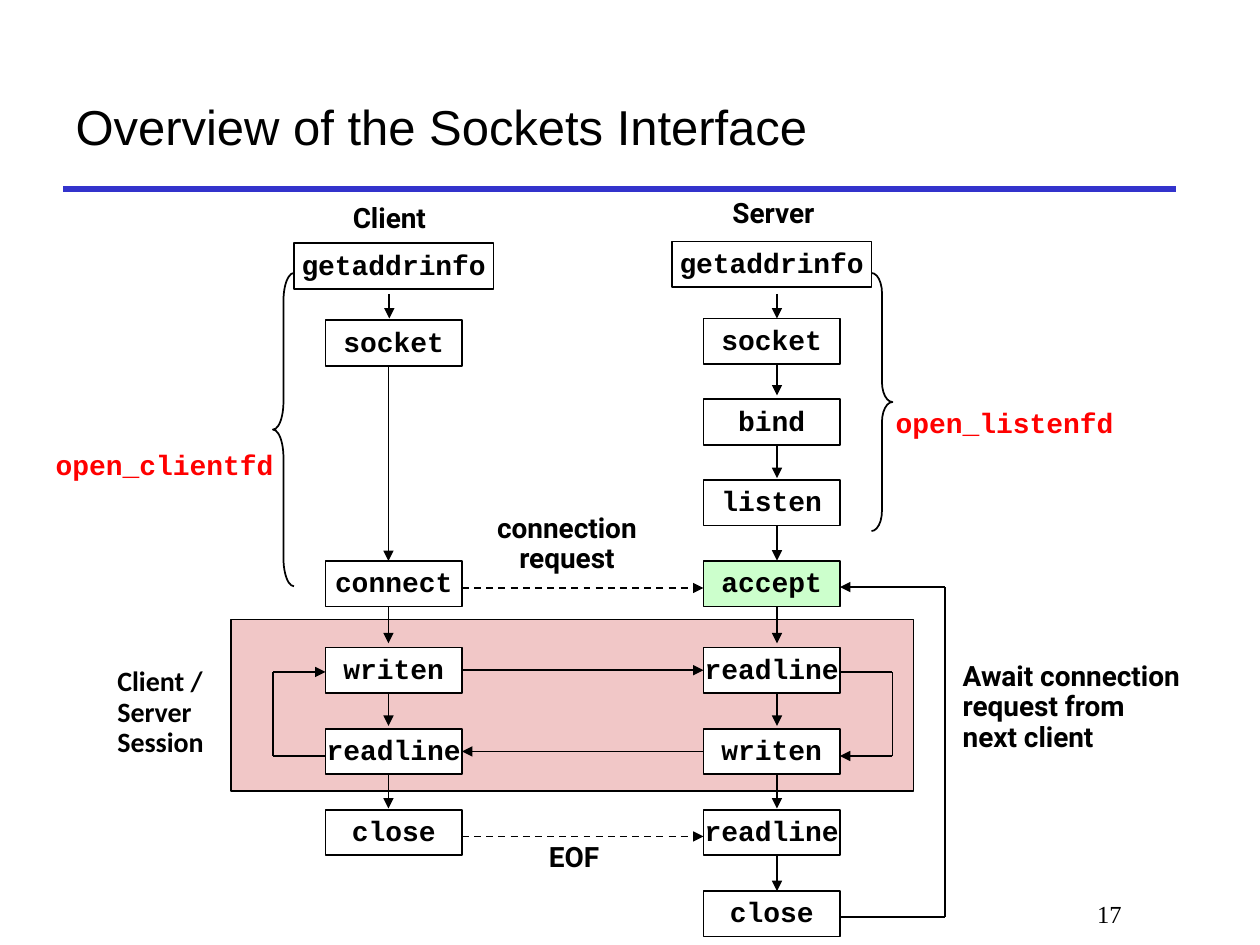
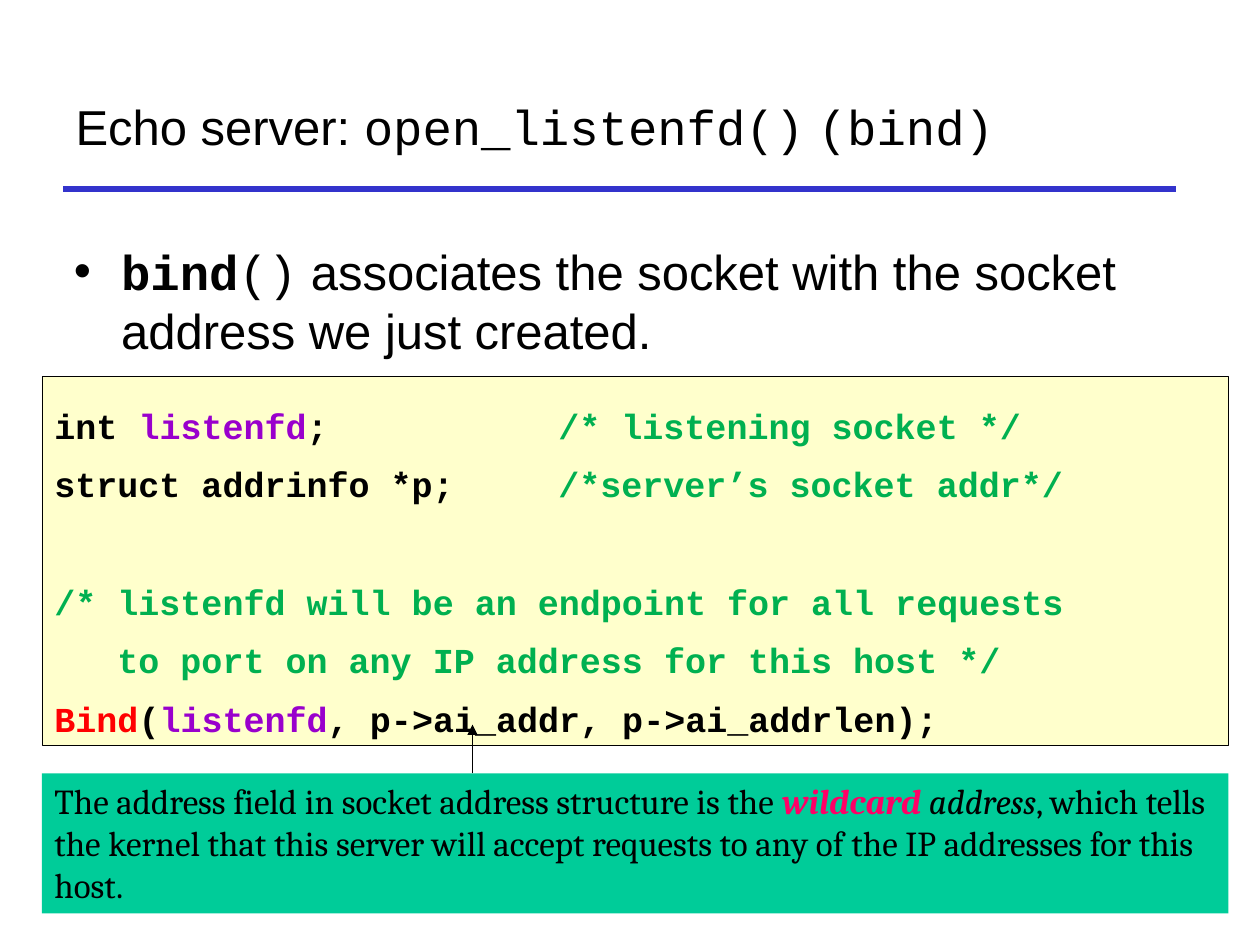
from dataclasses import dataclass
from itertools import pairwise
from typing import Any

from lxml import etree
from pptx import Presentation
from pptx import util as u
from pptx.dml.color import RGBColor
from pptx.enum import dml, shapes, text
from pptx.oxml import ns

Pt = u.Pt
MSO = shapes.MSO_SHAPE
ALIGN = text.PP_ALIGN
ANCHOR = text.MSO_ANCHOR

COLORS = {
    "black": "000000", "white": "FFFFFF", "rule": "3333CC", "session": "F1C7C7",
    "accept": "CCFFCC", "red": "FF0000", "code": "FFFFCC", "variable": "9900CC",
    "comment": "00B050", "note": "00CC99", "wildcard": "FF0066",
}
SANS, MONO, LABEL = "Arial", "Courier New", "Roboto"
CLIENT_X, SERVER_X = 186, 402
NODE_W, NODE_H = 78, 26
CLIENT_ARROW_X, SERVER_ARROW_X = 222, 444
UPPER = [182 + 46.2 * i for i in range(4)]
LOWER = [370 + 46.4 * i for i in range(4)]
ARROW_Y = [205 + 47.2 * i for i in range(7)]
ARROW_LEN = 21

Point = tuple[float, float]


@dataclass
class Run:
    text: str
    font: str = MONO
    size: float = 16
    color: str = "black"
    bold: bool | None = True
    italic: bool | None = None


@dataclass
class Node:
    name: str
    x: float
    y: float
    w: float = NODE_W
    fill: str = "white"


@dataclass
class Label:
    lines: list[str]
    at: tuple[float, float, float, float]
    font: str = LABEL
    color: str = "black"
    align: Any = ALIGN.CENTER
    wrap: bool = False


NODES = [
    Node("getaddrinfo", 168, 139, 114),
    Node("getaddrinfo", 384, 138, 114),
    Node("socket", CLIENT_X, UPPER[0] + 1),
    Node("connect", CLIENT_X, UPPER[3]),
    Node("accept", SERVER_X, UPPER[3], fill="accept"),
    *[Node(n, SERVER_X, y) for n, y in zip(["socket", "bind", "listen"], UPPER)],
    *[Node(n, CLIENT_X, y) for n, y in zip(["writen", "readline", "close"], LOWER)],
    *[Node(n, SERVER_X, y)
      for n, y in zip(["readline", "writen", "readline", "close"], LOWER)],
]
LABELS = [
    Label(["Client / Server", "Session"], (60, 375, 66, 65), "Calibri",
          align=ALIGN.LEFT, wrap=True),
    Label(["Client"], (193, 112, 59, 27)),
    Label(["Server"], (410, 109, 64, 27)),
    Label(["connection", "request"], (274, 288, 100, 46)),
    Label(["EOF"], (304, 477, 48, 27)),
    Label(["Await connection", "request from", "next client"], (543, 372, 148, 65),
          align=ALIGN.LEFT),
    Label(["open_listenfd"], (504, 229, 140, 27), MONO, "red"),
    Label(["open_clientfd"], (24, 253, 140, 27), MONO, "red"),
]


def rgb(name: str) -> RGBColor:
    return RGBColor.from_string(COLORS[name])


def apply(obj: Any, values: dict[str, Any]) -> None:
    for key, value in values.items():
        setattr(obj, key, value)


def place(sp: Any, x: float, y: float, w: float, h: float) -> None:
    apply(sp, dict(left=Pt(x), top=Pt(y), width=Pt(w), height=Pt(h)))


def write(p: Any, runs: list[Run], **values: Any) -> None:
    apply(p, values)
    for run in runs:
        for i, part in enumerate(run.text.split("\v")):
            if i:
                p.add_line_break()
            r = p.add_run()
            r.text = part
            apply(r.font, dict(name=run.font, size=Pt(run.size),
                               bold=run.bold, italic=run.italic))
            r.font.color.rgb = rgb(run.color)


def connect(s: Any, a: Point, b: Point, width: float = 1, color: str = "black",
            arrow: bool = False, dash: bool = False) -> Any:
    c = s.shapes.add_connector(shapes.MSO_CONNECTOR.STRAIGHT, *map(Pt, (*a, *b)))
    c.line.width = Pt(width)
    c.line.color.rgb = rgb(color)
    if dash:
        c.line.dash_style = dml.MSO_LINE.DASH
    if arrow:
        etree.SubElement(c.line._get_or_add_ln(), ns.qn("a:tailEnd"), type="triangle")
    etree.SubElement(c._element.spPr, ns.qn("a:effectLst"))
    return c


def route(s: Any, points: list[Point]) -> None:
    legs = list(pairwise(points))
    for i, (a, b) in enumerate(legs):
        connect(s, a, b, arrow=i == len(legs) - 1)


def add_shape(s: Any, kind: Any, at: tuple[float, float, float, float],
              fill: str | None = None, line: float | None = 1) -> Any:
    sp = s.shapes.add_shape(kind, *map(Pt, at))
    sp.shadow.inherit = False
    if fill:
        sp.fill.solid()
        sp.fill.fore_color.rgb = rgb(fill)
    else:
        sp.fill.background()
    if line:
        sp.line.width = Pt(line)
        sp.line.color.rgb = rgb("black")
    else:
        sp.line.fill.background()
    return sp


def add_node(s: Any, node: Node) -> Any:
    sp = add_shape(s, MSO.RECTANGLE, (node.x, node.y, node.w, NODE_H), node.fill)
    apply(sp.text_frame, dict(word_wrap=False, vertical_anchor=ANCHOR.MIDDLE))
    write(sp.text_frame.paragraphs[0], [Run(node.name)],
          alignment=ALIGN.CENTER, line_spacing=0.9)
    return sp


def add_label(s: Any, label: Label) -> None:
    tf = s.shapes.add_textbox(*map(Pt, label.at)).text_frame
    apply(tf, dict(word_wrap=label.wrap, vertical_anchor=ANCHOR.MIDDLE))
    for i, line in enumerate(label.lines):
        p = tf.add_paragraph() if i else tf.paragraphs[0]
        write(p, [Run(line, label.font, color=label.color)],
              alignment=label.align, line_spacing=0.9)


def new_slide(prs: Any, layout: int, title: list[Run]) -> Any:
    s = prs.slides.add_slide(prs.slide_layouts[layout])
    place(s.shapes.title, 36, 36, 636, 72)
    tf = s.shapes.title.text_frame
    apply(tf, dict(vertical_anchor=ANCHOR.MIDDLE, auto_size=text.MSO_AUTO_SIZE.NONE))
    write(tf.paragraphs[0], title, alignment=ALIGN.LEFT)
    connect(s, (36, 108), (672, 108), 3, "rule")
    return s


def title_run(words: str, font: str = SANS) -> Run:
    return Run(words, font, 28, bold=False)


def sockets_slide(prs: Any) -> None:
    s = new_slide(prs, 5, [title_run("Overview of the Sockets Interface")])
    number = s.shapes.add_textbox(Pt(546), Pt(510), Pt(102), Pt(36)).text_frame
    number.word_wrap = True
    write(number.paragraphs[0], [Run("17", "Times New Roman", 14, bold=False)],
          alignment=ALIGN.RIGHT)

    add_shape(s, MSO.RECTANGLE, (132, 354, 390, 98), "session")
    client_right, server_right = CLIENT_X + NODE_W, SERVER_X + NODE_W
    for start, side, y1, y2 in [(CLIENT_X, 156, 432, 384),
                                (server_right, 510, 384, 432),
                                (server_right, 540, 524, 335.5)]:
        route(s, [(start, y1), (side, y1), (side, y2), (start, y2)])

    steps = [(SERVER_ARROW_X, y, y + ARROW_LEN) for y in ARROW_Y]
    steps += [(CLIENT_ARROW_X, y, y + ARROW_LEN) for y in ARROW_Y[3:6]]
    steps += [(CLIENT_ARROW_X, ARROW_Y[0], UPPER[3])]
    steps += [(x, 168, 182) for x in (CLIENT_ARROW_X + 0.5, SERVER_ARROW_X)]
    for x, top, bottom in steps:
        connect(s, (x, top), (x, bottom), arrow=True)
    for y in (336, 478):
        connect(s, (client_right, y), (SERVER_X, y), arrow=True, dash=True)

    boxes = {(n.x, n.y): add_node(s, n) for n in NODES}
    client, server = ([boxes[x, y] for y in LOWER[:2]] for x in (CLIENT_X, SERVER_X))
    for a, a_side, b, b_side in [(client[0], 3, server[0], 1),
                                 (server[1], 1, client[1], 3)]:
        c = connect(s, (0, 0), (1, 1), arrow=True)
        c.begin_connect(a, a_side)
        c.end_connect(b, b_side)

    for label in LABELS:
        add_label(s, label)
    for kind, x, h, bend in [(MSO.RIGHT_BRACE, 498, 147.5, 0.96),
                             (MSO.LEFT_BRACE, 156, 179, 1.33)]:
        add_shape(s, kind, (x, 156, 12, h)).adjustments[0] = bend


def code(words: str, color: str = "black") -> Run:
    return Run(words, MONO, 20, color)


def note(words: str, **values: Any) -> Run:
    return Run(words, "Cambria", 20, **{"bold": False, **values})


def bind_slide(prs: Any) -> None:
    s = new_slide(prs, 1, [title_run("Echo server: "), title_run("open_listenfd()", MONO),
                           title_run(" "), title_run("(bind)", MONO)])
    body = s.placeholders[1]
    place(body, 35, 131, 650, 271)
    apply(body.text_frame, dict(margin_top=Pt(7), auto_size=text.MSO_AUTO_SIZE.NONE))
    p = body.text_frame.paragraphs[0]
    pPr = p._p.get_or_add_pPr()
    apply_indent = {"marL": Pt(27), "indent": -Pt(27)}
    for key, value in apply_indent.items():
        pPr.set(key, str(int(value)))
    etree.SubElement(pPr, ns.qn("a:buChar"), char="•")
    write(p, [Run("bind", size=28), title_run("()", MONO),
              title_run(" associates the socket with the socket address we just created.")],
          space_before=Pt(0))

    listing = [
        [code("int "), code("listenfd", "variable"), code(";\t"),
         code("/* listening socket */", "comment")],
        [code("struct addrinfo *p;\t"), code("/*server’s socket addr*/", "comment")],
        [code("/* listenfd will be an endpoint for all requests\v"
              "   to port on any IP address for this host */", "comment")],
        [code("Bind", "red"), code("("), code("listenfd", "variable"),
         code(", p->ai_addr, p->ai_addrlen);")],
    ]
    pitch = Pt(33.5)
    tf = add_shape(s, MSO.RECTANGLE, (24, 215, 678, 211), "code", 0.25).text_frame
    apply(tf, dict(word_wrap=True, vertical_anchor=ANCHOR.TOP, margin_top=Pt(6.5)))
    for i, runs in enumerate(listing):
        p = tf.add_paragraph() if i else tf.paragraphs[0]
        tabs = etree.SubElement(p._p.get_or_add_pPr(), ns.qn("a:tabLst"))
        etree.SubElement(tabs, ns.qn("a:tab"), pos=str(int(Pt(288))), algn="l")
        write(p, runs, alignment=ALIGN.LEFT, line_spacing=pitch,
              space_before=pitch if i == 2 else Pt(0))

    tf = add_shape(s, MSO.RECTANGLE, (24, 442, 678, 80), "note", None).text_frame
    apply(tf, dict(word_wrap=True, vertical_anchor=ANCHOR.TOP))
    write(tf.paragraphs[0], [
        note("The address field in socket address structure is the "),
        note("wildcard", color="wildcard", bold=True, italic=True),
        note(" address", italic=True),
        note(", which tells the kernel that this server will accept requests "
             "to any of the IP addresses for this host."),
    ], alignment=ALIGN.LEFT)
    connect(s, (270, 442), (270, 414), 0.75, arrow=True)


def main() -> None:
    prs = Presentation()
    apply(prs, dict(slide_width=Pt(720), slide_height=Pt(540)))
    sockets_slide(prs)
    bind_slide(prs)
    prs.save("out.pptx")


if __name__ == "__main__":
    main()
